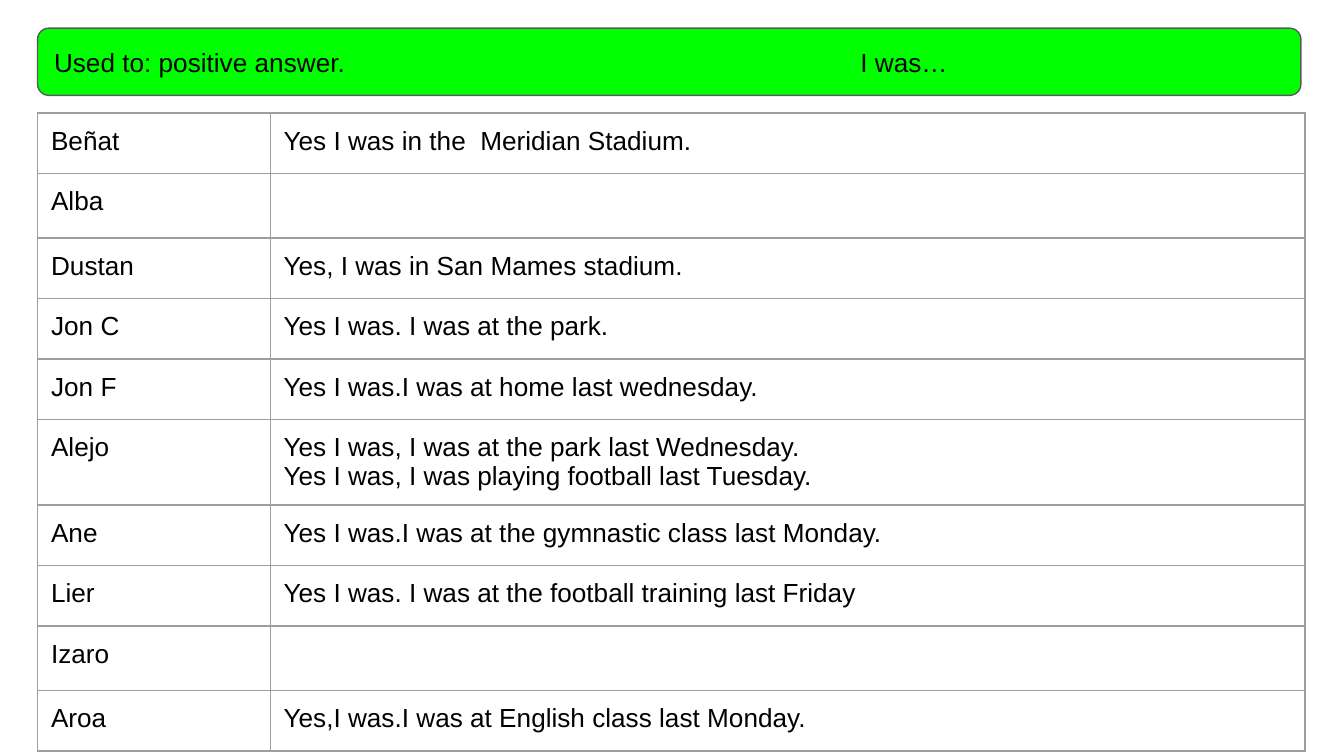
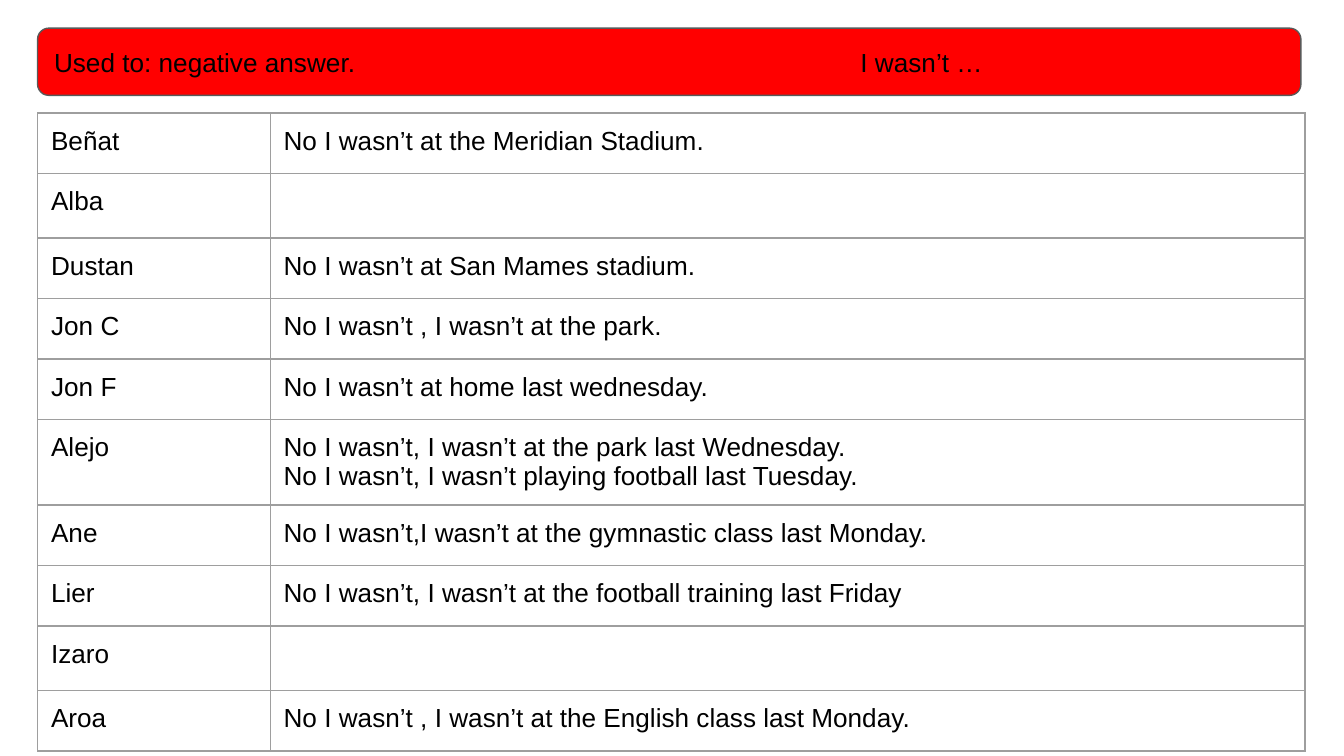
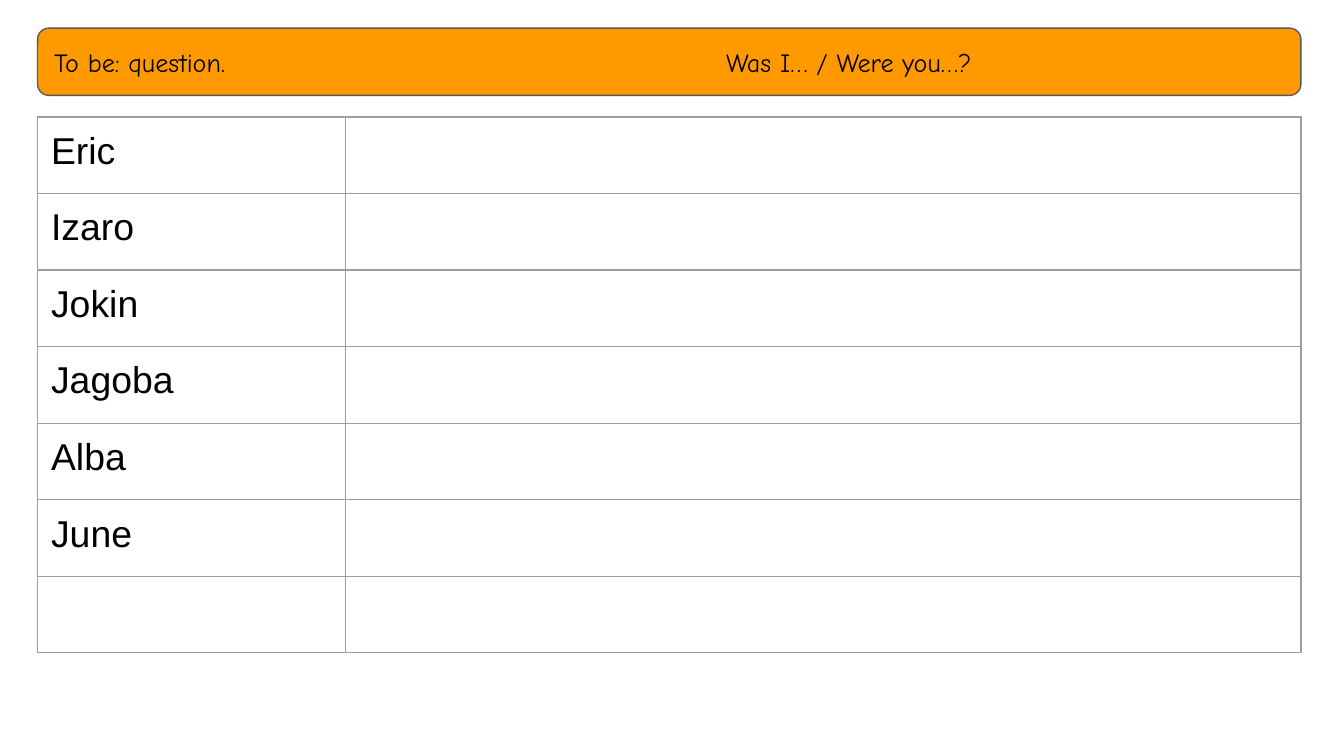
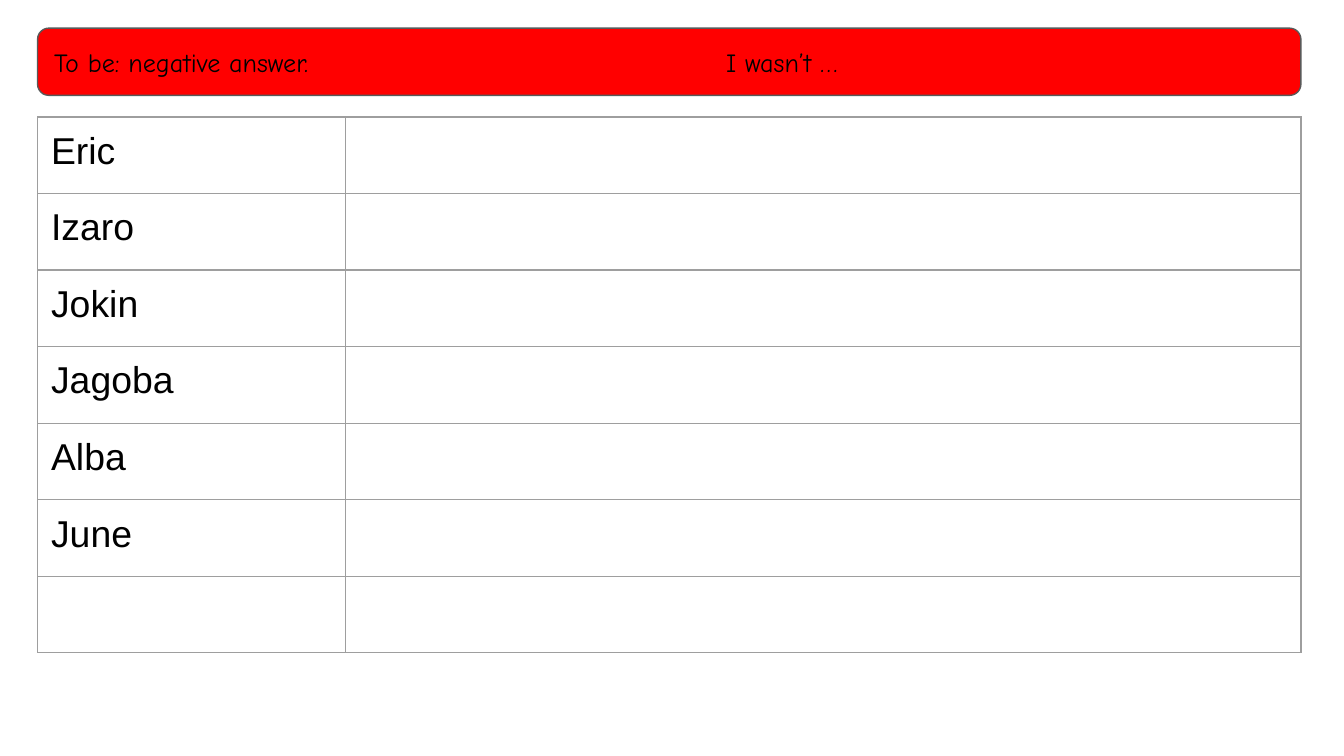
from dataclasses import dataclass
from lxml import etree
from pptx import Presentation
from pptx.dml.color import RGBColor
from pptx.enum.shapes import MSO_SHAPE
from pptx.enum.text import MSO_ANCHOR, PP_ALIGN
from pptx.oxml.ns import qn
from pptx.util import Inches, Pt

ROUND = MSO_SHAPE.ROUNDED_RECTANGLE
MIDDLE = MSO_ANCHOR.MIDDLE
LEFT = PP_ALIGN.LEFT


@dataclass(frozen=True)
class Theme:
    ink: str = "000000"
    edge: str = "595959"
    grid: str = "9E9E9E"
    green: str = "00FF00"
    red: str = "FF0000"
    orange: str = "FF9900"
    sans: str = "Arial"
    comic: str = "Comic Neue"
    small: int = 14
    empty: int = 18
    large: int = 20
    line: float = 0.75


T = Theme()
PAD = Inches(0.1)
SIDE = Inches(0.28)


def style(frame, face, size):
    for para in frame.paragraphs:
        para.alignment = LEFT
        para.font.name = face
        para.font.size = Pt(size)
        para.font.color.rgb = RGBColor.from_string(T.ink)


def rule(cell):
    """Draw the four grid lines of a cell and leave it unfilled."""
    props = cell._tc.get_or_add_tcPr()
    for edge in ("a:lnL", "a:lnR", "a:lnT", "a:lnB"):
        line = etree.SubElement(props, qn(edge), w=str(Pt(T.line)))
        fill = etree.SubElement(line, qn("a:solidFill"))
        etree.SubElement(fill, qn("a:srgbClr"), val=T.grid)
    cell.fill.background()


yes = [
    ("Beñat", "Yes I was in the  Meridian Stadium."),
    ("Alba", ""),
    ("Dustan", "Yes, I was in San Mames stadium."),
    ("Jon C", "Yes I was. I was at the park."),
    ("Jon F", "Yes I was.I was at home last wednesday."),
    ("Alejo", "Yes I was, I was at the park last Wednesday.\n"
              "Yes I was, I was playing football last Tuesday."),
    ("Ane", "Yes I was.I was at the gymnastic class last Monday."),
    ("Lier", "Yes I was. I was at the football training last Friday"),
    ("Izaro", ""),
    ("Aroa", "Yes,I was.I was at English class last Monday."),
]
no = [
    ("Beñat", "No I wasn’t at the Meridian Stadium."),
    ("Alba", ""),
    ("Dustan", "No I wasn’t at San Mames stadium."),
    ("Jon C", "No I wasn’t , I wasn’t at the park."),
    ("Jon F", "No I wasn’t at home last wednesday."),
    ("Alejo", "No I wasn’t, I wasn’t at the park last Wednesday.\n"
              "No I wasn’t, I wasn’t playing football last Tuesday."),
    ("Ane", "No I wasn’t,I wasn’t at the gymnastic class last Monday."),
    ("Lier", "No I wasn’t, I wasn’t at the football training last Friday"),
    ("Izaro", ""),
    ("Aroa", "No I wasn’t , I wasn’t at the English class last Monday."),
]
blank = [(name, "") for name in
         ("Eric", "Izaro", "Jokin", "Jagoba", "Alba", "June", "")]

# Layout: title face, tab stop, table top, column widths, row height, text size
full = (T.sans, 6, 0.84, (1.73, 7.7), 0.45, T.small)
spare = (T.comic, 5, 0.87, (2.29, 7.11), 0.57, T.large)

pages = [
    (T.green, "Used to: positive answer.", "I was…", yes, full),
    (T.red, "Used to: negative answer.", "I wasn’t …", no, full),
    (T.orange, "To be: question.", "Was I… / Were you…?", blank, spare),
    (T.red, "To be: negative answer.", "I wasn’t …", blank, spare),
]

deck = Presentation()
deck.slide_width = Inches(10)
deck.slide_height = Inches(10 * 9 / 16)

for color, title, hint, rows, layout in pages:
    face, stop, top, widths, height, size = layout
    slide = deck.slides.add_slide(deck.slide_layouts[6])

    # Title bar
    bar = slide.shapes.add_shape(ROUND, SIDE, Inches(0.21),
                                 Inches(9.4), Inches(0.5))
    bar.shadow.inherit = False
    bar.fill.solid()
    bar.fill.fore_color.rgb = RGBColor.from_string(color)
    bar.line.color.rgb = RGBColor.from_string(T.edge)
    bar.line.width = Pt(T.line)
    frame = bar.text_frame
    frame.word_wrap = True
    frame.vertical_anchor = MIDDLE
    frame.margin_left = frame.margin_right = PAD
    frame.margin_top = frame.margin_bottom = PAD
    frame.text = f"{title}\t{hint}"
    props = frame.paragraphs[0]._p.get_or_add_pPr()
    tabs = etree.SubElement(props, qn("a:tabLst"))
    etree.SubElement(tabs, qn("a:tab"), pos=str(Inches(stop)), algn="l")
    style(frame, face, T.small)

    # Answer table
    table = slide.shapes.add_table(
        len(rows), len(widths), SIDE, Inches(top),
        Inches(sum(widths)), Inches(height * len(rows))).table
    table.first_row = table.horz_banding = False
    for col, width in zip(table.columns, widths):
        col.width = Inches(width)
    for row, texts in zip(table.rows, rows):
        row.height = Inches(height)
        for cell, text in zip(row.cells, texts):
            cell.margin_left = cell.margin_right = PAD
            cell.margin_top = cell.margin_bottom = PAD
            rule(cell)
            if text:
                cell.text = text
                style(cell.text_frame, T.sans, size)
            else:
                # The end mark sets the height of an empty line
                mark = etree.SubElement(cell.text_frame.paragraphs[0]._p,
                                        qn("a:endParaRPr"),
                                        sz=str(T.empty * 100))
                etree.SubElement(mark, qn("a:latin"), typeface=T.sans)

deck.save("out.pptx")
